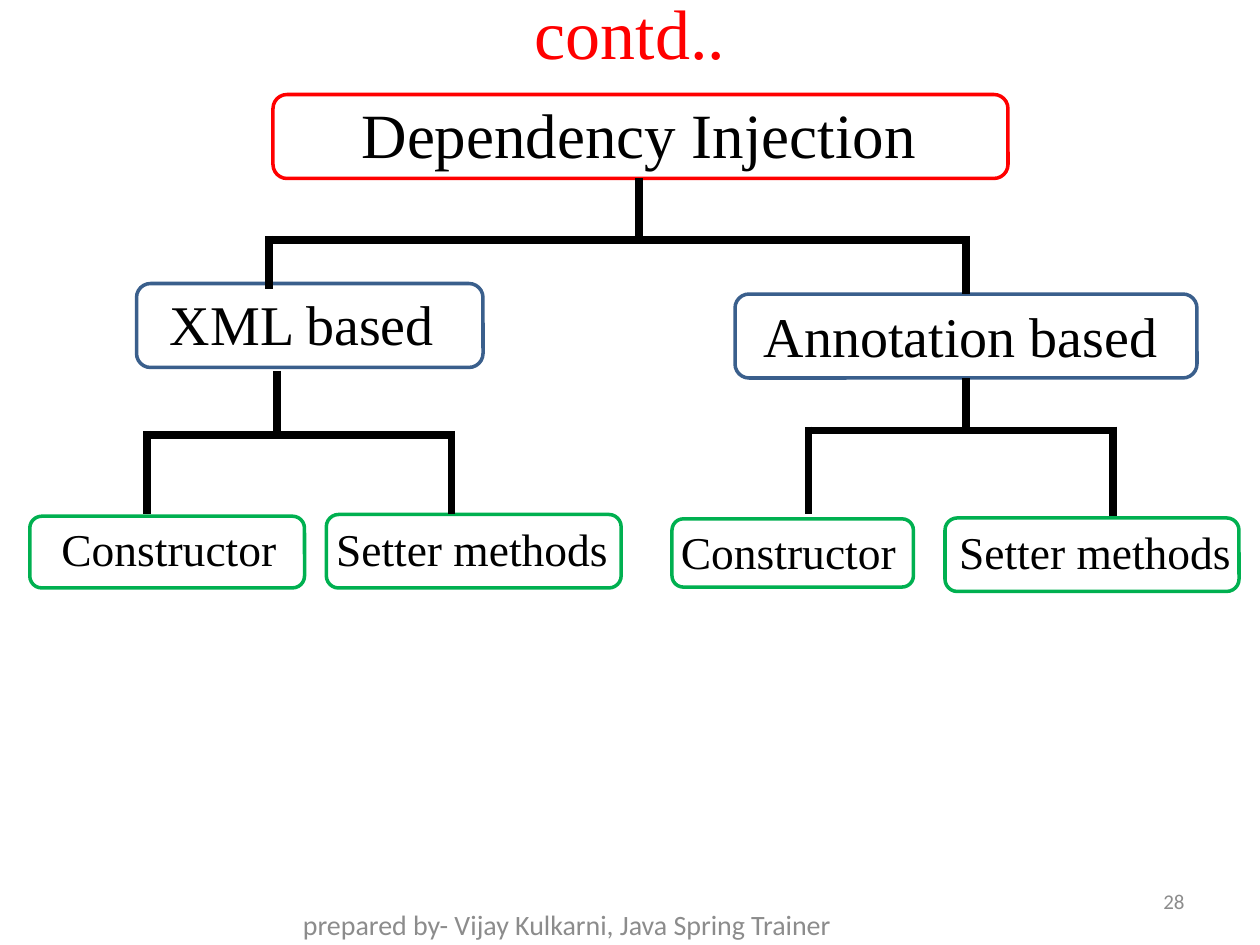
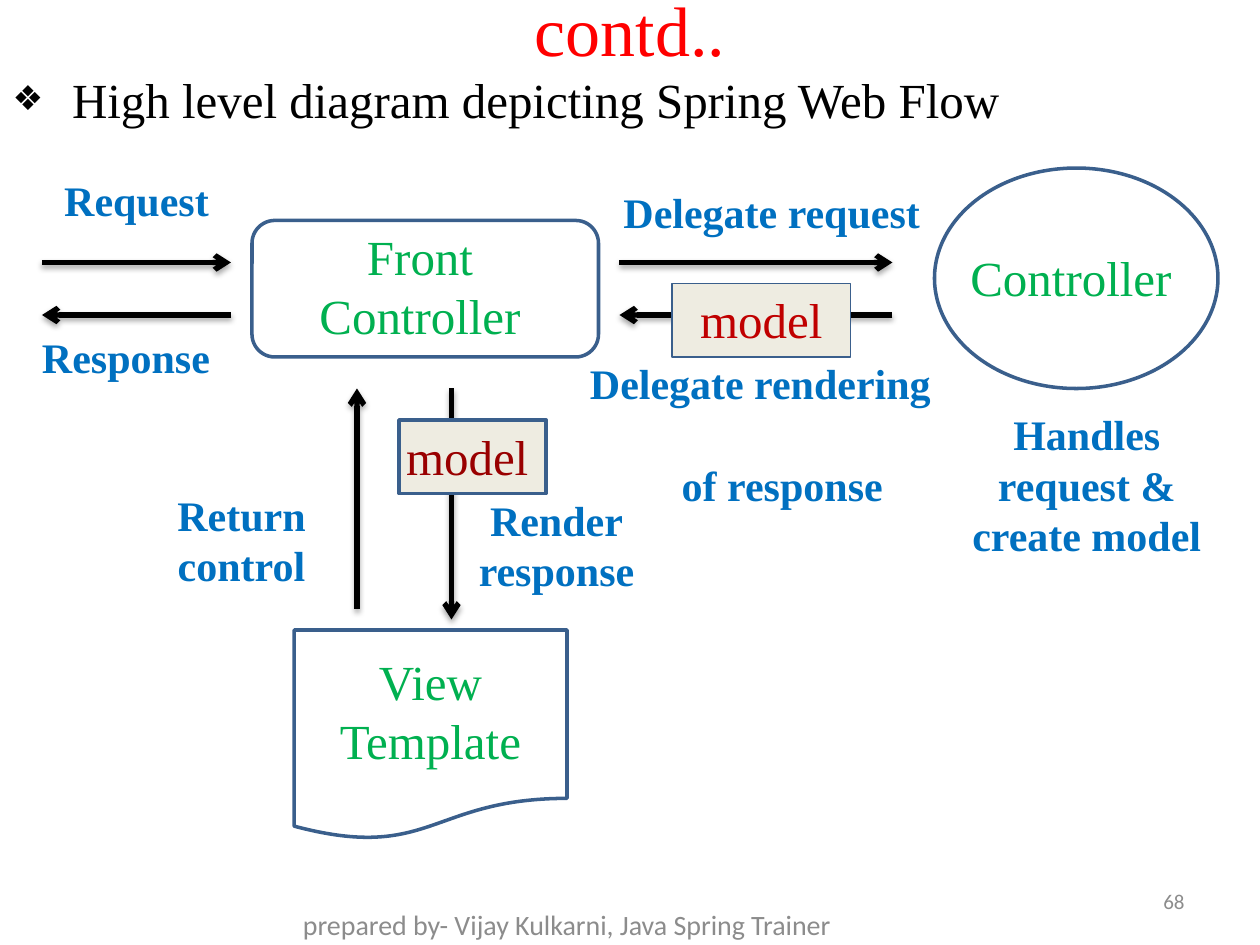
from dataclasses import dataclass

from lxml import etree
from pptx import Presentation
from pptx.dml.color import RGBColor
from pptx.enum.shapes import MSO_CONNECTOR, MSO_SHAPE
from pptx.enum.text import MSO_ANCHOR, MSO_AUTO_SIZE, PP_ALIGN
from pptx.oxml import parse_xml
from pptx.oxml.ns import nsdecls, qn
from pptx.util import Pt

STRAIGHT = MSO_CONNECTOR.STRAIGHT
ROUNDED, RECTANGLE = MSO_SHAPE.ROUNDED_RECTANGLE, MSO_SHAPE.RECTANGLE
ELLIPSE, DOCUMENT = MSO_SHAPE.OVAL, MSO_SHAPE.FLOWCHART_DOCUMENT
LEFT, CENTER, RIGHT = PP_ALIGN.LEFT, PP_ALIGN.CENTER, PP_ALIGN.RIGHT
TOP, MIDDLE = MSO_ANCHOR.TOP, MSO_ANCHOR.MIDDLE
NO_AUTOFIT = MSO_AUTO_SIZE.NONE


@dataclass(frozen=True)
class Theme:
    black: str = "000000"
    red: str = "FF0000"
    blue: str = "3A5F8C"
    green: str = "00B050"
    caption_blue: str = "0070C0"
    beige: str = "EEECE1"
    crimson: str = "C00000"
    maroon: str = "990000"
    grey: str = "8C8C8C"
    text_font: str = "Times New Roman"
    footer_font: str = "Calibri"
    title: int = 40
    root: int = 36
    branch: int = 32
    node: int = 28
    leaf: int = 26
    caption: int = 24
    footer: int = 16
    number: int = 12
    frame_line: int = 2
    tree_line: float = 4.5
    arrow_line: int = 3


theme = Theme()
SHADOW = (
    f'<a:effectLst {nsdecls("a")}><a:outerShdw blurRad="40000" dist="23000" '
    'dir="5400000" rotWithShape="0"><a:srgbClr val="000000">'
    '<a:alpha val="35000"/></a:srgbClr></a:outerShdw></a:effectLst>'
)


def write(shape, box, lines, size, color, align=CENTER, anchor=TOP,
          font=theme.text_font, bold=False):
    """Place a text shape and fill it with equally styled paragraphs."""
    shape.left, shape.top, shape.width, shape.height = map(Pt, box)
    frame = shape.text_frame
    frame.word_wrap = True
    frame.auto_size = NO_AUTOFIT
    frame.vertical_anchor = anchor
    frame.text = "\n".join(lines)
    for paragraph in frame.paragraphs:
        paragraph.alignment = align
        paragraph.font.name = font
        paragraph.font.size = Pt(size)
        paragraph.font.bold = bold
        paragraph.font.color.rgb = RGBColor.from_string(color)
    return frame.paragraphs


def draw_line(slide, ends, width, arrow=False):
    """Draw a black line, or a shadowed arrow pointing at the second end."""
    line = slide.shapes.add_connector(STRAIGHT, *map(Pt, ends))
    line.line.width = Pt(width)
    line.line.color.rgb = RGBColor.from_string(theme.black)
    properties = line.element.spPr
    if arrow:
        etree.SubElement(properties.find(qn("a:ln")), qn("a:tailEnd"), type="arrow")
        properties.append(parse_xml(SHADOW))
    else:
        etree.SubElement(properties, qn("a:effectLst"))


prs = Presentation()
prs.slide_width, prs.slide_height = Pt(720), Pt(540)
tree_slide = prs.slides.add_slide(prs.slide_layouts[5])
flow_slide = prs.slides.add_slide(prs.slide_layouts[1])

# Shared title, page number and footer
for slide, number, title_height in ((tree_slide, "28", 36), (flow_slide, "68", 33)):
    write(slide.shapes.title, (0, 0, 720, title_height), ["contd.."],
          theme.title, theme.red, anchor=MIDDLE)
    for box, words, size, align in (
        ((516, 500.5, 168, 28.5), number, theme.number, RIGHT),
        ((108, 516, 432, 24), "prepared by- Vijay Kulkarni, Java Spring Trainer",
         theme.footer, CENTER),
    ):
        write(slide.shapes.add_textbox(0, 0, 0, 0), box, [words], size, theme.grey,
              align, MIDDLE, theme.footer_font)

# Flow arrows, behind the boxes they pass
for ends in (
    (258, 222, 258, 354), (204, 348, 204, 222),
    (354, 150, 510, 150), (510, 180, 354, 180),
    (24, 150, 132, 150), (132, 180, 24, 180),
):
    draw_line(flow_slide, ends, theme.arrow_line, arrow=True)

# Frames of both diagrams
for slide, kind, box, outline, fill, width in (
    (tree_slide, ROUNDED, (156, 54, 420, 48), theme.red, None, theme.frame_line),
    (tree_slide, ROUNDED, (78, 162, 198, 48), theme.blue, None, theme.frame_line),
    (tree_slide, ROUNDED, (420, 168, 264, 48), theme.blue, None, theme.frame_line),
    (tree_slide, ROUNDED, (17, 295, 157, 41), theme.green, None, theme.frame_line),
    (tree_slide, ROUNDED, (186.5, 294, 168.5, 42), theme.green, None, theme.frame_line),
    (tree_slide, ROUNDED, (384, 296.5, 138, 39), theme.green, None, theme.frame_line),
    (tree_slide, ROUNDED, (540, 296, 168, 42), theme.green, None, theme.frame_line),
    (flow_slide, ROUNDED, (144, 126, 198, 78), theme.blue, None, theme.frame_line),
    (flow_slide, DOCUMENT, (168, 360, 156, 120), theme.blue, None, theme.frame_line),
    (flow_slide, ELLIPSE, (534, 96, 162, 126), theme.blue, None, theme.frame_line),
    (flow_slide, RECTANGLE, (384, 162, 102, 42), theme.blue, theme.beige, 1),
    (flow_slide, RECTANGLE, (228, 240, 84, 42), theme.blue, theme.beige, theme.frame_line),
):
    frame = slide.shapes.add_shape(kind, *map(Pt, box))
    frame.shadow.inherit = False
    frame.line.color.rgb = RGBColor.from_string(outline)
    frame.line.width = Pt(width)
    if fill:
        frame.fill.solid()
        frame.fill.fore_color.rgb = RGBColor.from_string(fill)
    else:
        frame.fill.background()

# Tree branches: a stem down to a bar, and a drop from each end of the bar
for stem, stem_top, bar, drops in (
    (365, 102, 137, ((153.5, 165), (552, 168))),
    (158.5, 212, 248.5, ((84, 294), (258, 294))),
    (552, 216, 246, ((462, 294), (636, 295))),
):
    draw_line(tree_slide, (stem, stem_top, stem, bar), theme.tree_line)
    draw_line(tree_slide, (drops[0][0], bar, drops[1][0], bar), theme.tree_line)
    for x, bottom in drops:
        draw_line(tree_slide, (x, bar - theme.tree_line / 2, x, bottom), theme.tree_line)

# Tree labels
for box, words, size, align in (
    ((179, 51, 372, 51), "Dependency Injection", theme.root, CENTER),
    ((90, 162, 186, 46), "XML based", theme.branch, LEFT),
    ((414, 169, 270, 46), "Annotation based", theme.branch, CENTER),
    ((28, 294, 145, 39), "Constructor", theme.leaf, LEFT),
    ((185, 294, 180, 39), "Setter methods", theme.leaf, LEFT),
    ((382, 296, 145, 39), "Constructor", theme.leaf, LEFT),
    ((541, 296, 179, 39), "Setter methods", theme.leaf, LEFT),
):
    write(tree_slide.shapes.add_textbox(0, 0, 0, 0), box, [words], size,
          theme.black, align)

# Flow heading with its diamond bullet
heading = flow_slide.placeholders[1]
heading.text_frame.text = "High level diagram depicting Spring Web Flow"
bullet = heading.text_frame.paragraphs[0]
write(heading, (0, 36, 714, 37), [bullet.text], theme.node, theme.black, LEFT)
bullet = heading.text_frame.paragraphs[0]
bullet.space_before = Pt(0)
properties = bullet._p.get_or_add_pPr()
properties.set("marL", str(Pt(34)))
properties.set("indent", str(-Pt(34)))
for position, (tag, name, value) in enumerate(
    (("a:buSzPct", "val", "70000"), ("a:buChar", "char", "❖")), start=1
):
    mark = etree.Element(qn(tag))
    mark.set(name, value)
    properties.insert(position, mark)

# Names inside the flow boxes
for box, lines, color in (
    ((168, 126, 144, 75), ["Front", "Controller"], theme.green),
    ((540, 138, 144, 41), ["Controller"], theme.green),
    ((174, 369, 144, 75), ["View", "Template"], theme.green),
    ((384, 162, 102, 41), ["model"], theme.crimson),
    ((216, 240, 102, 41), ["model"], theme.maroon),
):
    write(flow_slide.shapes.add_textbox(0, 0, 0, 0), box, lines, theme.node, color)

# Captions beside the arrows
for box, lines in (
    ((12, 186, 120, 36), ["Response"]),
    ((18, 96, 120, 36), ["Request"]),
    ((342, 103, 198, 36), ["Delegate request"]),
    ((258, 279, 120, 66), ["Render", "response"]),
    ((78, 276, 120, 66), ["Return", "control"]),
    ((540, 230, 162, 94), ["Handles request & create model"]),
):
    write(flow_slide.shapes.add_textbox(0, 0, 0, 0), box, lines, theme.caption,
          theme.caption_blue, bold=True)
rendering, response = write(
    flow_slide.shapes.add_textbox(0, 0, 0, 0), (330, 201, 234, 66),
    ["Delegate rendering", "of response"], theme.caption, theme.caption_blue, bold=True)
rendering.alignment = LEFT
response.space_before = Pt(29)

prs.save("out.pptx")
